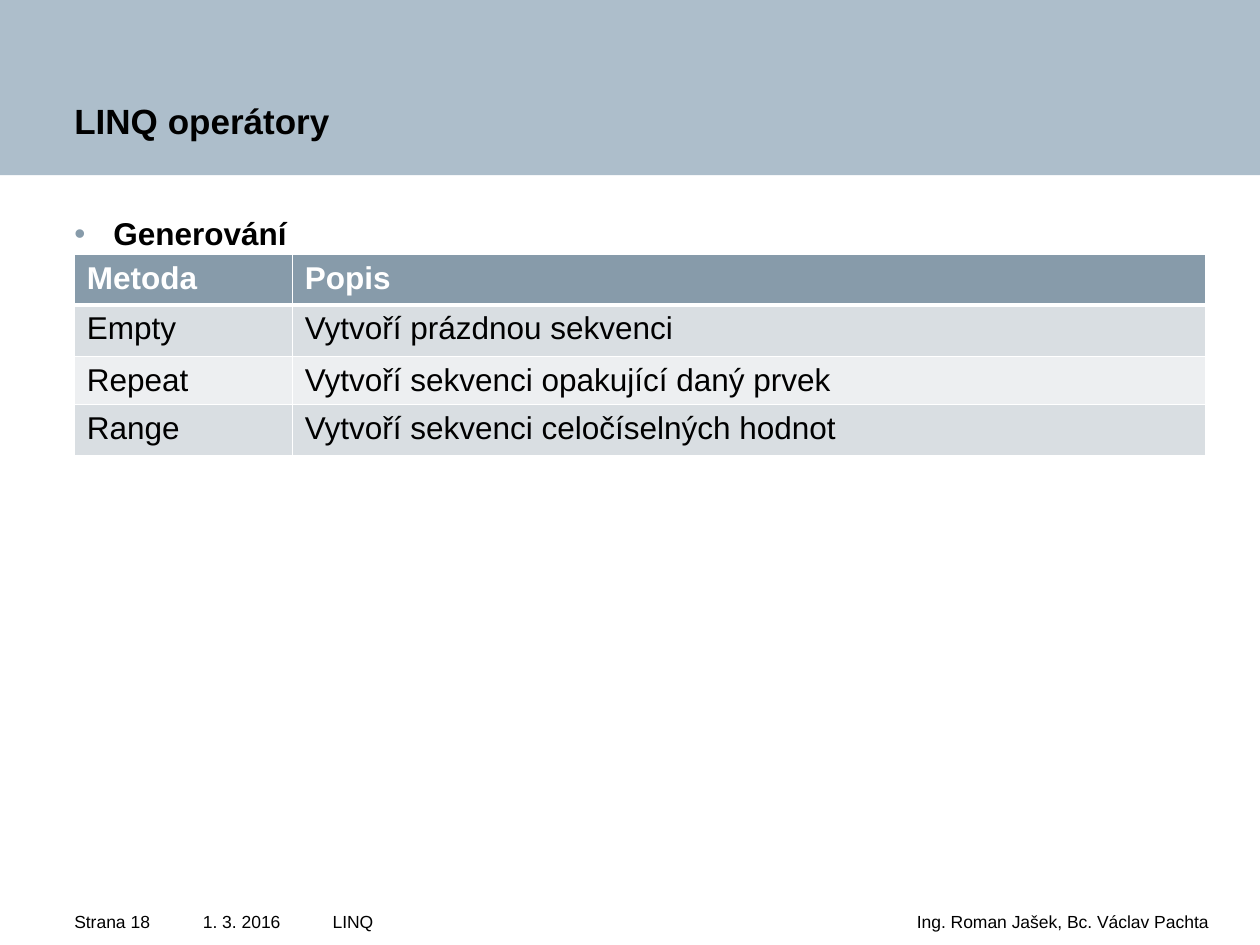
import pptx
import pptx.util
import pptx.dml.color
import pptx.enum.shapes
import pptx.enum.text
import pptx.oxml
import pptx.oxml.ns
import lxml.etree

Inches = pptx.util.Inches
Pt = pptx.util.Pt
Align = pptx.enum.text.PP_ALIGN
Anchor = pptx.enum.text.MSO_ANCHOR


def color(value):
    return pptx.dml.color.RGBColor.from_string(value)


def format_text(frame, size, bold=False, text_color="000000", insets=(0, 0, 0, 0), spacing=1.0, align=Align.LEFT):
    frame.word_wrap = True
    frame.margin_left, frame.margin_top, frame.margin_right, frame.margin_bottom = map(Inches, insets)
    for paragraph in frame.paragraphs:
        paragraph.alignment = align
        paragraph.line_spacing = spacing
        paragraph.space_before = Pt(0)
        for run in paragraph.runs:
            run.font.name = "Arial"
            run.font.size = Pt(size)
            run.font.bold = bold
            run.font.color.rgb = color(text_color)


presentation = pptx.Presentation()
presentation.slide_width = Inches(10)
presentation.slide_height = Inches(7.5)
slide = presentation.slides.add_slide(presentation.slide_layouts[1])

band = slide.shapes.add_shape(pptx.enum.shapes.MSO_SHAPE.RECTANGLE, 0, 0, Inches(10), Inches(1.39))
band.shadow.inherit = False
band.fill.solid()
band.fill.fore_color.rgb = color("ADBECB")
band.line.fill.background()

title = slide.shapes.title
title._element.addprevious(band._element)
title.left, title.top, title.width, title.height = 0, 0, Inches(10), Inches(1.38)
title.text_frame.text = "LINQ operátory"
title.text_frame.vertical_anchor = Anchor.BOTTOM
format_text(title.text_frame, 20, bold=True, insets=(0.59, 0.43, 2.32, 0.26))

body = slide.placeholders[1]
body.left, body.top, body.width, body.height = map(Inches, (0.59, 1.55, 8.98, 5.2))
body.text_frame.text = "Generování"
body.text_frame.vertical_anchor = Anchor.TOP
format_text(body.text_frame, 18, bold=True, spacing=1.5)
bullet_properties = body.text_frame.paragraphs[0]._p.get_or_add_pPr()
bullet_properties.set("marL", str(Inches(0.31)))
bullet_properties.set("indent", str(-Inches(0.31)))
bullet_color = lxml.etree.SubElement(bullet_properties, pptx.oxml.ns.qn("a:buClr"))
lxml.etree.SubElement(bullet_color, pptx.oxml.ns.qn("a:srgbClr"), val="879BAA")
lxml.etree.SubElement(bullet_properties, pptx.oxml.ns.qn("a:buFont"), typeface="Arial")
lxml.etree.SubElement(bullet_properties, pptx.oxml.ns.qn("a:buChar"), char="•")

methods = [
    ("Metoda", "Popis"),
    ("Empty", "Vytvoří prázdnou sekvenci"),
    ("Repeat", "Vytvoří sekvenci opakující daný prvek"),
    ("Range", "Vytvoří sekvenci celočíselných hodnot"),
]
row_heights = [0.4, 0.41, 0.38, 0.41]
table = slide.shapes.add_table(
    len(methods), 2, Inches(0.59), Inches(2.02), Inches(8.98), Inches(sum(row_heights))
).table
for column, width in zip(table.columns, (1.73, 7.25)):
    column.width = Inches(width)
for row_index, (texts, height) in enumerate(zip(methods, row_heights)):
    table.rows[row_index].height = Inches(height)
    header = row_index == 0
    fill = "879BAA" if header else ("EDEFF1", "D9DEE2")[row_index % 2]
    for column_index, text in enumerate(texts):
        cell = table.cell(row_index, column_index)
        cell.text_frame.text = text
        format_text(cell.text_frame, 18, bold=header, text_color="FFFFFF" if header else "000000")
        cell.margin_left = cell.margin_right = Inches(0.1)
        cell.margin_top, cell.margin_bottom = Inches(0.05), Inches(0.04)
        if header:
            properties = cell._tc.get_or_add_tcPr()
            for side, weight in (("lnL", 1), ("lnR", 1), ("lnT", 1), ("lnB", 3)):
                border = lxml.etree.SubElement(properties, pptx.oxml.ns.qn("a:" + side), w=str(Pt(weight)))
                border_fill = lxml.etree.SubElement(border, pptx.oxml.ns.qn("a:solidFill"))
                lxml.etree.SubElement(border_fill, pptx.oxml.ns.qn("a:srgbClr"), val="FFFFFF")
        cell.fill.solid()
        cell.fill.fore_color.rgb = color(fill)

footers = [
    ("1. 3. 2016", 0, 2.79, 1.61, 0, Align.LEFT),
    ("Strana 18", 0, 1.37, 0.59, 0, Align.LEFT),
    ("Ing. Roman Jašek, Bc. Václav Pachta", 2.95, 7.05, 0, 0.41, Align.RIGHT),
    ("LINQ", 2.64, 3.58, 0, 0.41, Align.LEFT),
]
for text, left, width, left_inset, right_inset, align in footers:
    footer = slide.shapes.add_textbox(Inches(left), Inches(7.21), Inches(width), Inches(0.28))
    footer.text_frame.text = text
    format_text(footer.text_frame, 10, insets=(left_inset, 0, right_inset, 0.13), spacing=1.1, align=align)

presentation.save("out.pptx")
